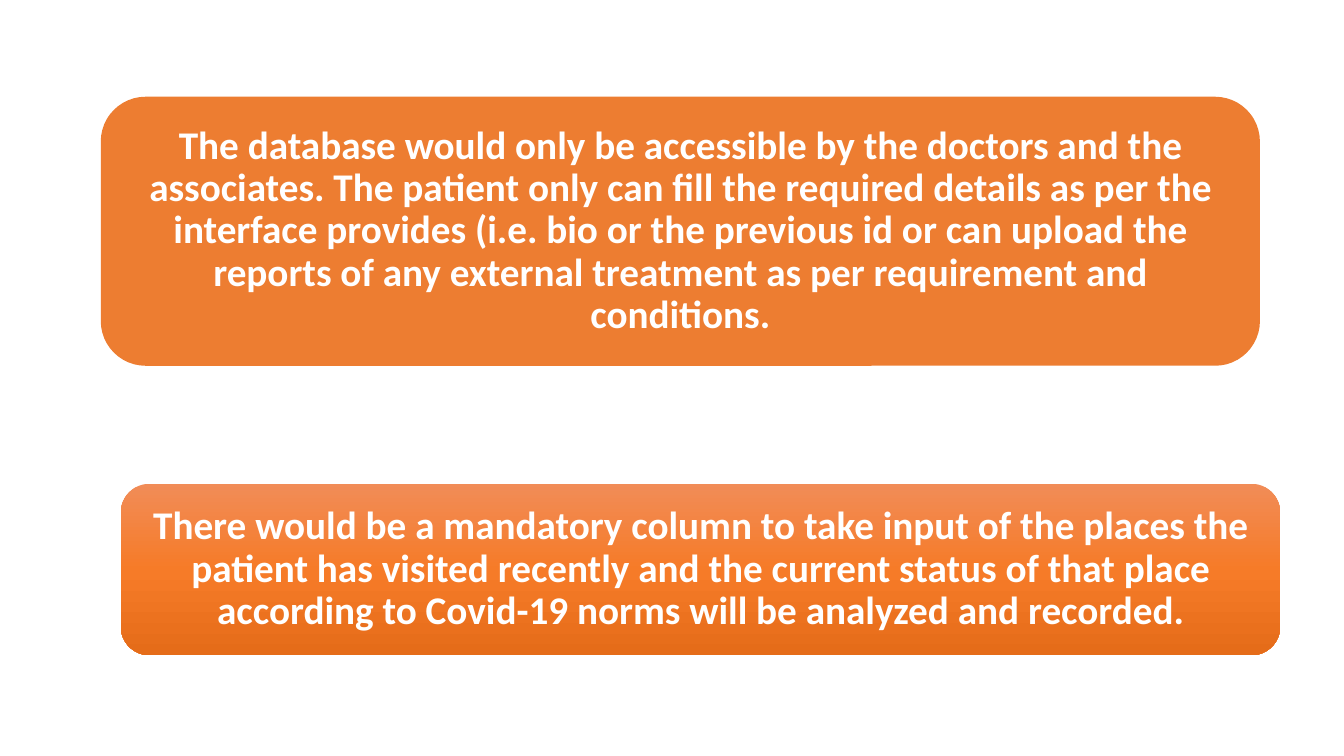
from copy import deepcopy
from pptx import Presentation
from pptx.dml.color import RGBColor
from pptx.enum.shapes import MSO_SHAPE
from pptx.enum.text import MSO_ANCHOR, PP_ALIGN
from pptx.util import Pt

HUES = {"top": "F18C57", "mid": "F67B28", "low": "E56C19",
        "flat": "ED7D31", "text": "FFFFFF"}
CARDS = [
    ("There would be a mandatory column to take input of the places the "
     "patient has visited recently and the current status of that place "
     "according to Covid-19 norms will be analyzed and recorded.",
     (86.4, 345.6, 122.4), ("top", "mid", "low")),
    ("The database would only be accessible by the doctors and the "
     "associates. The patient only can fill the required details as per the "
     "interface provides (i.e. bio or the previous id or can upload the "
     "reports of any external treatment as per requirement and conditions.",
     (72, 69.1, 192.2), ("flat",)),
]
WIDTH = 828
INSET = Pt(8.4)
FRAME = {"word_wrap": True, "vertical_anchor": MSO_ANCHOR.MIDDLE,
         "margin_left": INSET, "margin_right": INSET,
         "margin_top": INSET, "margin_bottom": INSET}
PARA = {"alignment": PP_ALIGN.CENTER, "line_spacing": 0.9}
FONT = {"name": "Calibri", "size": Pt(28), "bold": True}


def hue(name):
    return RGBColor.from_string(HUES[name])


def style(item, values):
    for key, value in values.items():
        setattr(item, key, value)


def paint(fill, names):
    if len(names) == 1:
        fill.solid()
        fill.fore_color.rgb = hue(names[0])
        return
    fill.gradient()
    fill.gradient_angle = 270
    stops = fill._fill._gradFill.gsLst
    stops.insert(1, deepcopy(stops[0]))
    for i, (stop, name) in enumerate(zip(fill.gradient_stops, names)):
        stop.position = i / (len(names) - 1)
        stop.color.rgb = hue(name)


def card(slide, text, place, names):
    left, top, height = place
    box = slide.shapes.add_shape(MSO_SHAPE.ROUNDED_RECTANGLE, Pt(left),
                                 Pt(top), Pt(WIDTH), Pt(height))
    box.shadow.inherit = False
    box.line.fill.background()
    paint(box.fill, names)
    frame = box.text_frame
    style(frame, FRAME)
    para = frame.paragraphs[0]
    style(para, PARA)
    run = para.add_run()
    run.text = text
    style(run.font, FONT)
    run.font.color.rgb = hue("text")


def main():
    deck = Presentation()
    style(deck, {"slide_width": Pt(960), "slide_height": Pt(540)})
    slide = deck.slides.add_slide(deck.slide_layouts[6])
    for text, place, names in CARDS:
        card(slide, text, place, names)
    deck.save("out.pptx")


if __name__ == "__main__":
    main()
